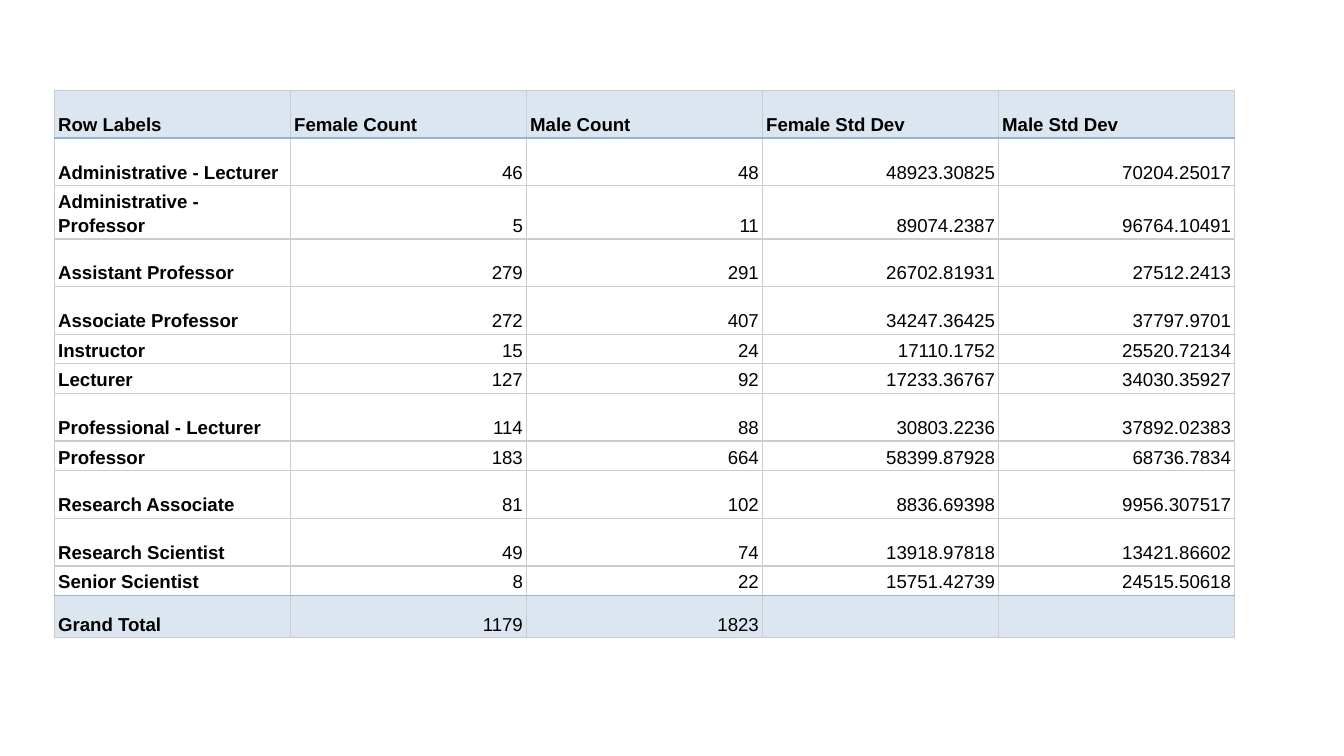
from lxml import etree
from pptx import Presentation
from pptx import util as u
from pptx.dml.color import RGBColor
from pptx.enum import text
from pptx.oxml import ns

# Content
HEAD = ["Row Labels", "Female Count", "Male Count", "Female Std Dev", "Male Std Dev"]
STAFF = [
    ("Administrative - Lecturer", "46", "48", "48923.30825", "70204.25017"),
    ("Administrative - Professor", "5", "11", "89074.2387", "96764.10491"),
    ("Assistant Professor", "279", "291", "26702.81931", "27512.2413"),
    ("Associate Professor", "272", "407", "34247.36425", "37797.9701"),
    ("Instructor", "15", "24", "17110.1752", "25520.72134"),
    ("Lecturer", "127", "92", "17233.36767", "34030.35927"),
    ("Professional - Lecturer", "114", "88", "30803.2236", "37892.02383"),
    ("Professor", "183", "664", "58399.87928", "68736.7834"),
    ("Research Associate", "81", "102", "8836.69398", "9956.307517"),
    ("Research Scientist", "49", "74", "13918.97818", "13421.86602"),
    ("Senior Scientist", "8", "22", "15751.42739", "24515.50618"),
]
TOTAL = ("Grand Total", "1179", "1823", "", "")
SHORT = {"Instructor", "Lecturer", "Professor", "Senior Scientist"}

# Look and sizes, lengths in cm
THEME = dict(font="Arial", size=10, ink="000000", band="DCE6F1", body="FFFFFF",
             grid="CCCCCC", rule="95B3D7", line=0.75, space=1.15)
LEFT, TOP, WIDE = 1.03, 1.71, 4.46
TALL, LOW, FOOT = 0.9, 0.56, 0.8
SIDE, EDGE = 0.07, 0.05


def write(cell, words, bold=False, align=text.PP_ALIGN.LEFT):
    """Put formatted words at the bottom of a cell."""
    cell.vertical_anchor = text.MSO_ANCHOR.BOTTOM
    cell.margin_left = cell.margin_right = u.Cm(SIDE)
    cell.margin_top = cell.margin_bottom = u.Cm(EDGE)
    para = cell.text_frame.paragraphs[0]
    para.alignment = align
    para.line_spacing = THEME["space"]
    if not words:  # keeps an empty cell at the table's type size
        end = etree.SubElement(para._p, ns.qn("a:endParaRPr"))
        end.set("sz", str(THEME["size"] * 100))
        return
    run = para.add_run()
    run.text = words
    run.font.name = THEME["font"]
    run.font.size = u.Pt(THEME["size"])
    run.font.bold = bold
    run.font.color.rgb = RGBColor.from_string(THEME["ink"])


def paint(cell, fill, top, base):
    """Draw the four borders of a cell, then its fill."""
    props = cell._tc.get_or_add_tcPr()
    for side, tone in zip("LRTB", (THEME["grid"], THEME["grid"], top, base)):
        line = etree.SubElement(props, ns.qn("a:ln" + side), w=str(u.Pt(THEME["line"])))
        solid = etree.SubElement(line, ns.qn("a:solidFill"))
        etree.SubElement(solid, ns.qn("a:srgbClr"), val=tone)
    cell.fill.solid()
    cell.fill.fore_color.rgb = RGBColor.from_string(fill)


def main():
    deck = Presentation()
    deck.slide_width, deck.slide_height = u.Cm(25.4), u.Cm(14.29)
    slide = deck.slides.add_slide(deck.slide_layouts[6])

    # Table frame
    rows = [HEAD, *STAFF, TOTAL]
    last = len(rows) - 1
    highs = [LOW if row[0] in SHORT else TALL for row in rows]
    highs[last] = FOOT
    grid = slide.shapes.add_table(
        len(rows), len(HEAD), u.Cm(LEFT), u.Cm(TOP),
        u.Cm(WIDE * len(HEAD)), u.Cm(sum(highs))).table
    grid.first_row = grid.horz_banding = False
    for col in grid.columns:
        col.width = u.Cm(WIDE)

    # Cells: blue rules below the header and above the total
    for i, row in enumerate(rows):
        grid.rows[i].height = u.Cm(highs[i])
        fill = THEME["band"] if i in (0, last) else THEME["body"]
        top = THEME["rule"] if i in (1, last) else THEME["grid"]
        base = THEME["rule"] if i in (0, last - 1) else THEME["grid"]
        for j, words in enumerate(row):
            label = i == 0 or j == 0
            cell = grid.cell(i, j)
            write(cell, words, bold=label,
                  align=text.PP_ALIGN.LEFT if label else text.PP_ALIGN.RIGHT)
            paint(cell, fill, top, base)

    deck.save("out.pptx")


if __name__ == "__main__":
    main()
